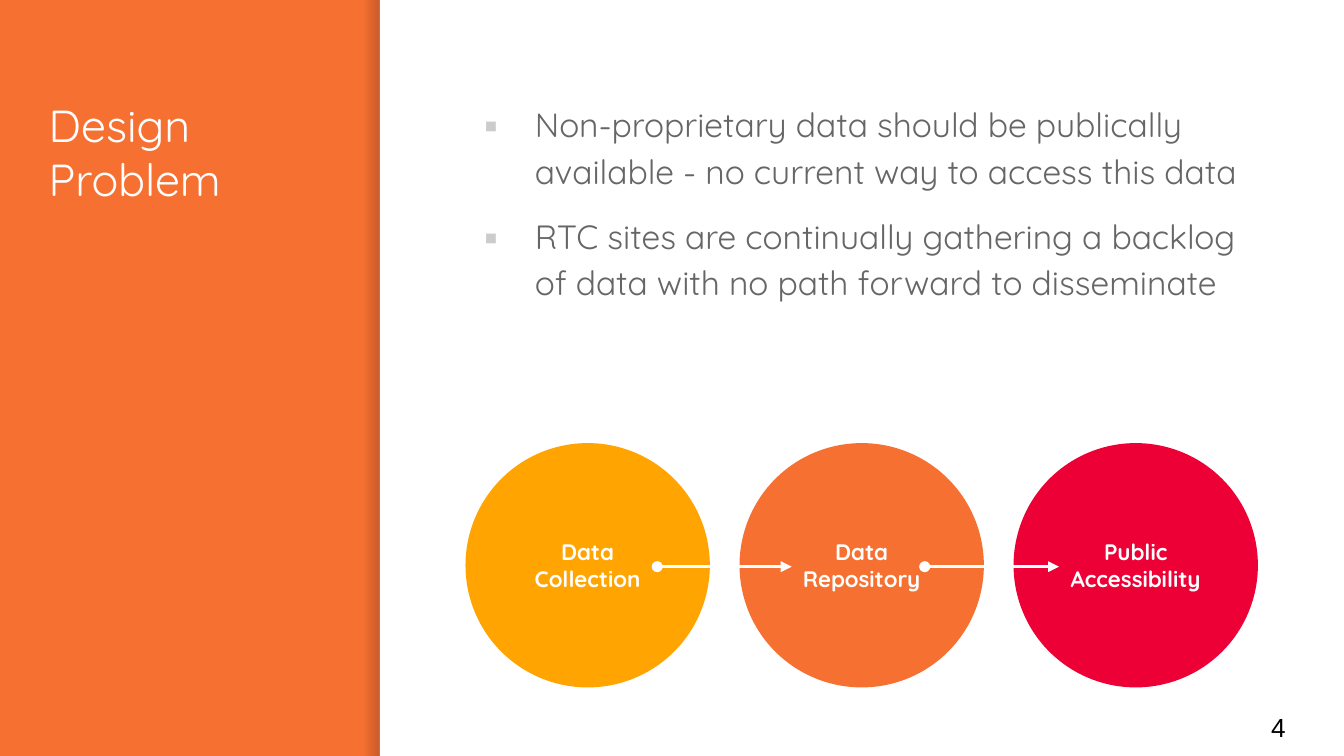
"""Build the Design Problem slide with its three-step data flow."""
from lxml.etree import SubElement
from pptx import Presentation
from pptx.dml.color import RGBColor
from pptx.enum.shapes import MSO_CONNECTOR, MSO_SHAPE
from pptx.enum.text import MSO_ANCHOR, PP_ALIGN
from pptx.oxml.ns import qn
from pptx.util import Pt

WHITE, ORANGE = "FFFFFF", "F67031"
TITLE = "Design Problem"
PROBLEMS = [
    "Non-proprietary data should be publically available - no current way to access this data",
    "RTC sites are continually gathering a backlog of data with no path forward to disseminate",
]
STAGES = [
    ("Data Collection", "FFA400"),
    ("Data Repository", ORANGE),
    ("Public Accessibility", "ED0036"),
]
PAGE = "4"

TITLE_FONT = {"name": "Quicksand", "size": Pt(24), "color": WHITE}
PROBLEM_FONT = {"name": "Quicksand", "size": Pt(18), "color": "666666"}
STAGE_FONT = {"name": "Quicksand", "size": Pt(12), "bold": True, "color": WHITE}
PAGE_FONT = {"name": "Arial", "size": Pt(14), "color": "000000"}
FRAME = {"word_wrap": True, "margin_left": Pt(7.2), "margin_right": Pt(7.2),
         "margin_top": Pt(7.2), "margin_bottom": Pt(7.2)}
PROBLEM_SPACING = {"line_spacing": 1.15, "space_after": Pt(10)}

WIDTH, HEIGHT = 720, 405
PANEL_LEFT, SHADE_WIDTH = 203.5, 9
STAGE_LEFT, STAGE_TOP, DIAMETER, STAGE_STEP = 249.4, 237.4, 130.9, 146.8
ARROW_LEFT, ARROW_Y, ARROW_LENGTH, ARROW_STEP = 352.1, 303.6, 72, 143.3


def rgb(value):
    return RGBColor.from_string(value)


def apply(target, values):
    for name, value in values.items():
        if name == "color":
            target.color.rgb = rgb(value)
        else:
            setattr(target, name, value)


def add_block(slide, kind, box, color):
    block = slide.shapes.add_shape(kind, *map(Pt, box))
    block.shadow.inherit = False
    block.line.fill.background()
    block.fill.solid()
    block.fill.fore_color.rgb = rgb(color)
    return block


def write(holder, lines, font, anchor=MSO_ANCHOR.TOP, align=PP_ALIGN.LEFT, bullet=False):
    frame = holder.text_frame
    apply(frame, {**FRAME, "vertical_anchor": anchor})
    for index, line in enumerate(lines):
        paragraph = frame.paragraphs[0] if index == 0 else frame.add_paragraph()
        paragraph.alignment = align
        if bullet:
            apply(paragraph, PROBLEM_SPACING)
            add_bullet(paragraph)
        run = paragraph.add_run()
        run.text = line
        apply(run.font, font)


def add_bullet(paragraph):
    properties = paragraph._p.get_or_add_pPr()
    properties.set("marL", str(Pt(36)))
    properties.set("indent", str(Pt(-27)))
    SubElement(SubElement(properties, qn("a:buClr")), qn("a:srgbClr"), val="CCCCCC")
    SubElement(properties, qn("a:buFont"), typeface="Quicksand")
    SubElement(properties, qn("a:buChar"), char="▪")


def add_shade(slide):
    box = (PANEL_LEFT - SHADE_WIDTH, 0, SHADE_WIDTH, HEIGHT)
    shade = add_block(slide, MSO_SHAPE.RECTANGLE, box, ORANGE)
    shade.fill.gradient()
    shade.fill.gradient_angle = 0
    for stop in shade.fill.gradient_stops:
        stop.color.rgb = rgb("000014")
    colors = shade._element.spPr.find(qn("a:gradFill")).iter(qn("a:srgbClr"))
    for color, alpha in zip(colors, ("0", "20000")):
        SubElement(color, qn("a:alpha"), val=alpha)


def add_arrow(slide, left):
    arrow = slide.shapes.add_connector(
        MSO_CONNECTOR.STRAIGHT, Pt(left), Pt(ARROW_Y), Pt(left + ARROW_LENGTH), Pt(ARROW_Y))
    apply(arrow.line, {"color": WHITE, "width": Pt(1.5)})
    line = arrow.line._get_or_add_ln()
    for end, style in (("a:headEnd", "oval"), ("a:tailEnd", "triangle")):
        SubElement(line, qn(end), type=style)
    SubElement(arrow._element.spPr, qn("a:effectLst"))


def add_text(slide, box, *content, **layout):
    write(slide.shapes.add_textbox(*map(Pt, box)), *content, **layout)


def main():
    deck = Presentation()
    apply(deck, {"slide_width": Pt(WIDTH), "slide_height": Pt(HEIGHT)})
    slide = deck.slides.add_slide(deck.slide_layouts[6])
    slide.background.fill.solid()
    slide.background.fill.fore_color.rgb = rgb(ORANGE)

    add_shade(slide)
    add_block(slide, MSO_SHAPE.RECTANGLE, (PANEL_LEFT, 0, WIDTH - PANEL_LEFT, HEIGHT), WHITE)
    add_text(slide, (19, 45.4, 161, 313), [TITLE], TITLE_FONT)
    add_text(slide, (243.4, 45.4, 440.6, 217.4), PROBLEMS, PROBLEM_FONT, bullet=True)
    add_text(slide, (673.9, 374, 43.2, 31), [PAGE], PAGE_FONT, anchor=MSO_ANCHOR.MIDDLE)

    for index, (stage, color) in enumerate(STAGES):
        box = (STAGE_LEFT + index * STAGE_STEP, STAGE_TOP, DIAMETER, DIAMETER)
        circle = add_block(slide, MSO_SHAPE.OVAL, box, color)
        write(circle, [stage], STAGE_FONT, MSO_ANCHOR.MIDDLE, PP_ALIGN.CENTER)
    for index in range(len(STAGES) - 1):
        add_arrow(slide, ARROW_LEFT + index * ARROW_STEP)

    deck.save("out.pptx")


if __name__ == "__main__":
    main()
